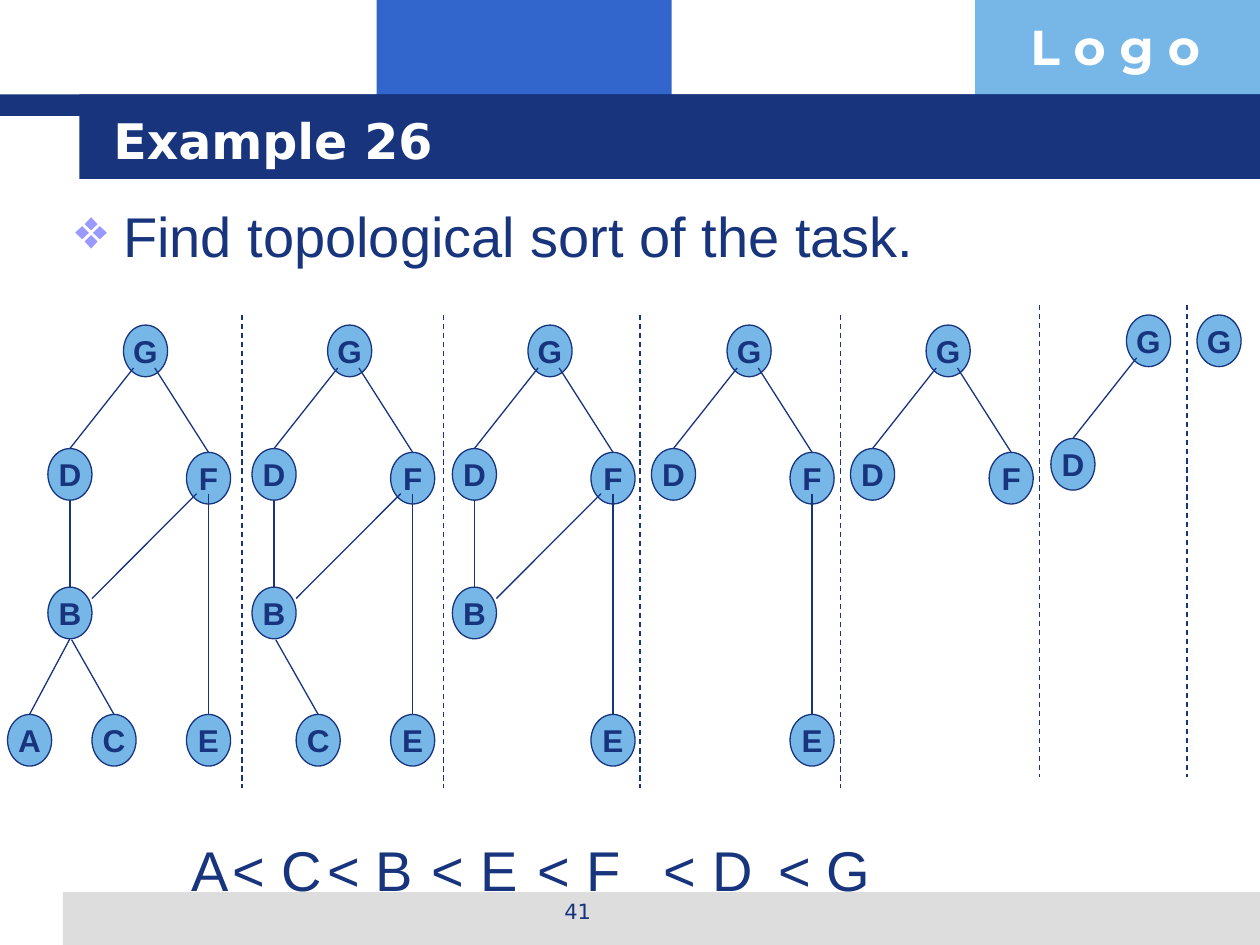
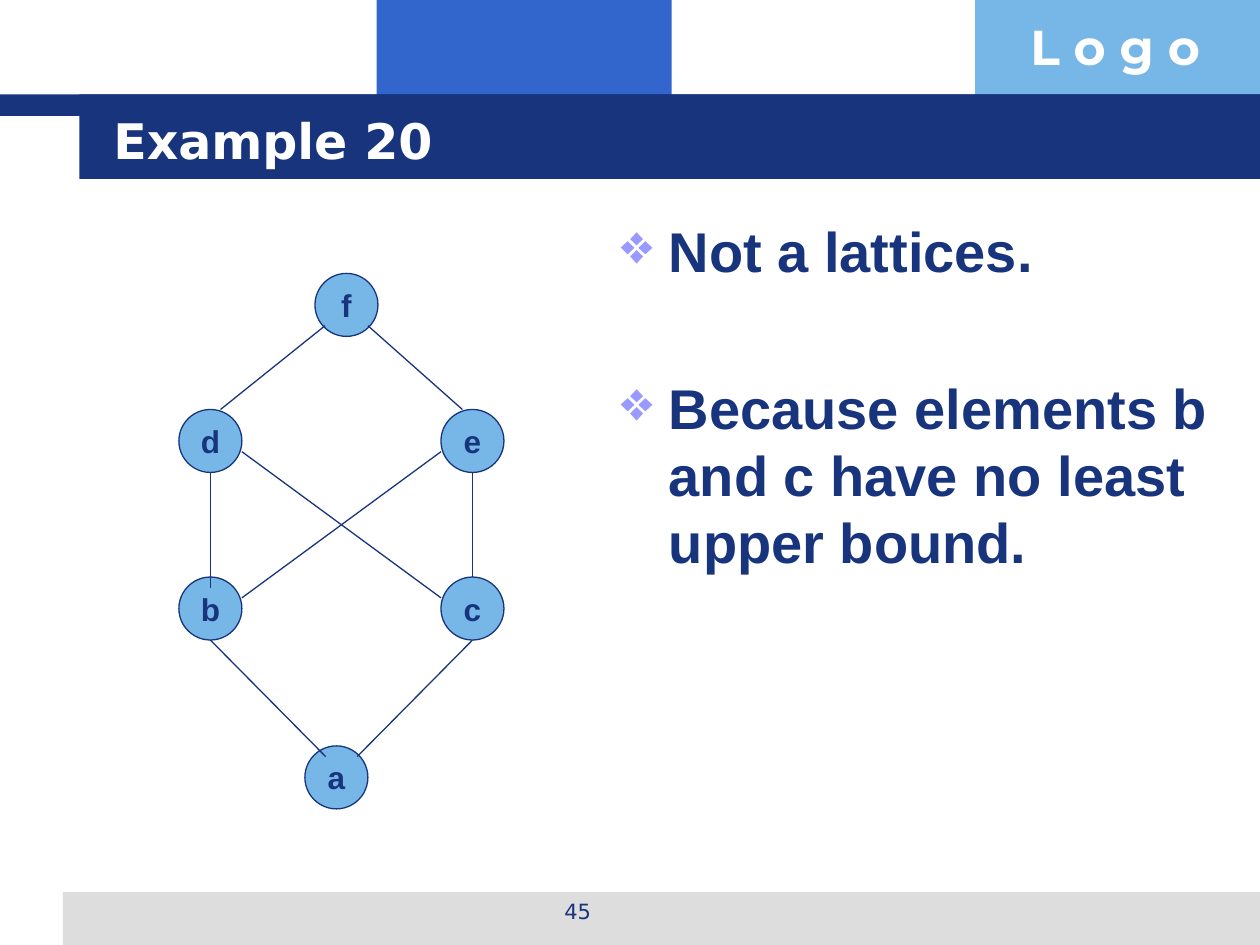
from dataclasses import dataclass

from lxml import etree
from pptx import Presentation
from pptx.dml.color import RGBColor
from pptx.enum.dml import MSO_LINE
from pptx.enum.shapes import MSO_CONNECTOR, MSO_SHAPE
from pptx.enum.text import MSO_ANCHOR, MSO_AUTO_SIZE, PP_ALIGN
from pptx.oxml.ns import qn
from pptx.util import Inches, Pt

RECTANGLE, ELLIPSE = MSO_SHAPE.RECTANGLE, MSO_SHAPE.OVAL
STRAIGHT, DASH = MSO_CONNECTOR.STRAIGHT, MSO_LINE.DASH
LEFT, CENTER = PP_ALIGN.LEFT, PP_ALIGN.CENTER
TOP, MIDDLE = MSO_ANCHOR.TOP, MSO_ANCHOR.MIDDLE
FIXED = MSO_AUTO_SIZE.NONE
TITLE_ONLY = 5


@dataclass(frozen=True)
class Theme:
    """Colours, fonts and sizes shared by the slides."""
    navy: str = "17347D"
    blue: str = "3366CC"
    sky: str = "77B7E7"
    gray: str = "DDDDDD"
    white: str = "FFFFFF"
    lilac: str = "9999FF"
    body_font: str = "Arial"
    title_font: str = "DejaVu Sans"
    logo_font: str = "Montserrat"
    title_size: int = 28
    body_size: int = 32
    node_size: int = 18
    number_size: int = 12
    line_width: float = 0.75
    indent: float = 0.38
    paragraph_gap: float = 6.4


THEME = Theme()
SLIDE_SIZE = (10, 7.5)

BANDS = [
    ((2.99, 0, 2.34, 0.92), THEME.blue),
    ((7.74, 0, 2.26, 0.92), THEME.sky),
    ((0.5, 7.08, 9.5, 0.42), THEME.gray),
    ((0, 0.75, 10, 0.17), THEME.navy),
    ((0.63, 0.75, 9.37, 0.67), THEME.navy),
]
LOGO = ("L o g o", (8.08, 0.08, 1.93, 0.57))
NUMBER_AREA = (3.42, 7.08, 2.33, 0.35)
TITLE_AREA = (0.8, 0.8, 8.53, 0.62)

SORT = {
    "title": "Example 26",
    "number": "41",
    "body": ["Find topological sort of the task."],
    "area": (0.5, 1.55, 9, 0.78),
}
SORT_ORDER = "ACBEFDG"
ANSWER_LEFTS = [1.42, 1.75, 2.5, 3.33, 4.17, 5.17, 6.08]
ANSWER_TOP, ANSWER_SIZE = 6.58, (1.17, 0.5)
TASK_SIZE = (0.35, 0.41)
TASKS = {
    "A": (0.06, 5.67), "B": (0.38, 4.66), "C": (0.73, 5.67), "D": (0.38, 3.56),
    "E": (1.48, 5.67), "F": (1.48, 3.59), "G": (0.98, 2.58),
}
TASK_EDGES = [
    ("F", (0.23, 0.8), "B", (1, 0.22)),
    ("D", (0.5, 1), "B", (0.5, 0)),
    ("F", (0.5, 0.8), "E", (0.5, 0)),
    ("B", (0.5, 1), "A", (0.5, 0)),
    ("G", (0.23, 0.83), "D", (0.5, 0)),
    ("B", (0.54, 1.02), "C", (0.5, 0)),
    ("G", (0.71, 0.83), "F", (0.5, 0)),
]
STAGES = [
    (0, 0, None), (1.62, 0, 1.92), (3.21, 0, 3.52), (4.79, 0, 5.08),
    (6.37, 0, 6.67), (7.96, -0.08, 8.25), (8.52, -0.08, 9.42),
]
DIVIDER_TOP, DIVIDER_HEIGHT = 2.5, 3.75

LATTICE = {
    "title": "Example 20",
    "number": "45",
    "body": ["Not a lattices.",
             "Because elements b and c have no least upper bound."],
    "area": (4.83, 1.67, 4.92, 5.08),
    "bold": True,
    "gap": 51,
}
ELEMENT_SIZE = (0.5, 0.5)
ELEMENTS = {
    "a": (2.42, 5.92), "b": (1.42, 4.58), "c": (3.5, 4.58),
    "d": (1.42, 3.25), "e": (3.5, 3.25), "f": (2.5, 2.17),
}
ELEMENT_EDGES = [
    ("f", (0.16, 0.83), "d", (0.66, 0)),
    ("f", (0.84, 0.83), "e", (0.34, 0)),
    ("d", (0.5, 1), "b", (0.5, 0.17)),
    ("e", (0.5, 1), "c", (0.5, 0)),
    ("b", (0.5, 1), "a", (0.33, 0.17)),
    ("c", (0.5, 1), "a", (0.83, 0.17)),
    ("d", (1, 0.67), "c", (0, 0.33)),
    ("e", (0, 0.67), "b", (1, 0.33)),
]


def rgb(color):
    return RGBColor.from_string(color)


def inches(lengths):
    return [Inches(length) for length in lengths]


def write(para, text, size, color=THEME.navy, font=THEME.body_font, bold=False):
    span = para.add_run()
    span.text = text
    span.font.name, span.font.size, span.font.bold = font, Pt(size), bold
    span.font.color.rgb = rgb(color)


def add_text(page, area):
    box = page.shapes.add_textbox(*inches(area))
    box.text_frame.word_wrap = True
    box.text_frame.vertical_anchor = TOP
    return box.text_frame.paragraphs[0]


def add_shape(page, kind, area, fill, outline=None):
    shape = page.shapes.add_shape(kind, *inches(area))
    shape.shadow.inherit = False
    shape.fill.solid()
    shape.fill.fore_color.rgb = rgb(fill)
    if outline:
        shape.line.color.rgb = rgb(outline)
        shape.line.width = Pt(THEME.line_width)
    else:
        shape.line.fill.background()
    return shape


def add_line(page, start, end, dash=None):
    line = page.shapes.add_connector(STRAIGHT, *inches((*start, *end)))
    line.line.color.rgb = rgb(THEME.navy)
    line.line.width = Pt(THEME.line_width)
    if dash:
        line.line.dash_style = dash
    etree.SubElement(line._element.spPr, qn("a:effectLst"))


def add_bullet(para):
    properties = para._p.get_or_add_pPr()
    properties.set("marL", str(Inches(THEME.indent)))
    properties.set("indent", str(-Inches(THEME.indent)))
    color = etree.SubElement(properties, qn("a:buClr"))
    etree.SubElement(color, qn("a:srgbClr"), val=THEME.lilac)
    etree.SubElement(properties, qn("a:buChar"), char="❖")


def add_body(page, lines, area, bold=False, gap=THEME.paragraph_gap):
    first = add_text(page, area)
    frame = page.shapes[-1].text_frame
    for index, text in enumerate(lines):
        para = frame.add_paragraph() if index else first
        para.space_before = Pt(gap if index else THEME.paragraph_gap)
        add_bullet(para)
        write(para, text, THEME.body_size, bold=bold)


def add_page(deck, title, number, body, area, **style):
    page = deck.slides.add_slide(deck.slide_layouts[TITLE_ONLY])
    for band, fill in BANDS:
        add_shape(page, RECTANGLE, band, fill)
    logo, logo_area = LOGO
    write(add_text(page, logo_area), logo, THEME.title_size, THEME.white,
          THEME.logo_font, True)
    para = add_text(page, NUMBER_AREA)
    para.alignment = CENTER
    write(para, number, THEME.number_size, font=THEME.title_font)
    heading = page.shapes.title
    heading.left, heading.top, heading.width, heading.height = inches(TITLE_AREA)
    page.shapes._spTree.append(heading._element)
    frame = heading.text_frame
    frame.auto_size, frame.vertical_anchor, frame.word_wrap = FIXED, MIDDLE, True
    frame.paragraphs[0].alignment = LEFT
    write(frame.paragraphs[0], title, THEME.title_size, THEME.white,
          THEME.title_font, True)
    add_body(page, body, area, **style)
    return page


def add_node(page, label, area):
    node = add_shape(page, ELLIPSE, area, THEME.sky, THEME.navy)
    frame = node.text_frame
    frame.word_wrap, frame.vertical_anchor = False, MIDDLE
    frame.margin_left = frame.margin_right = frame.margin_top = frame.margin_bottom = 0
    frame.paragraphs[0].alignment = CENTER
    write(frame.paragraphs[0], label, THEME.node_size, bold=True)


def add_graph(page, nodes, size, edges, shift=(0, 0)):
    """Draw nodes, then the edges whose two ends are both present."""
    def place(label, share=(0, 0)):
        return [start + move + length * part for start, move, length, part
                in zip(nodes[label], shift, size, share)]

    for label in nodes:
        add_node(page, label, (*place(label), *size))
    for upper, leave, lower, reach in edges:
        if upper in nodes and lower in nodes:
            add_line(page, place(upper, leave), place(lower, reach))


def add_sort_page(deck):
    page = add_page(deck, **SORT)
    for index, (across, down, divider) in enumerate(STAGES):
        if divider:
            top = DIVIDER_TOP + down
            add_line(page, (divider, top), (divider, top + DIVIDER_HEIGHT), DASH)
        remaining = {label: TASKS[label] for label in SORT_ORDER[index:]}
        add_graph(page, remaining, TASK_SIZE, TASK_EDGES, (across, down))
    for index, (label, left) in enumerate(zip(SORT_ORDER, ANSWER_LEFTS)):
        para = add_text(page, (left, ANSWER_TOP, *ANSWER_SIZE))
        para.space_before = Pt(THEME.paragraph_gap)
        write(para, f"< {label}" if index else label, THEME.body_size)


def add_lattice_page(deck):
    page = add_page(deck, **LATTICE)
    add_graph(page, ELEMENTS, ELEMENT_SIZE, ELEMENT_EDGES)


def main():
    deck = Presentation()
    deck.slide_width, deck.slide_height = inches(SLIDE_SIZE)
    add_sort_page(deck)
    add_lattice_page(deck)
    deck.save("out.pptx")


if __name__ == "__main__":
    main()
